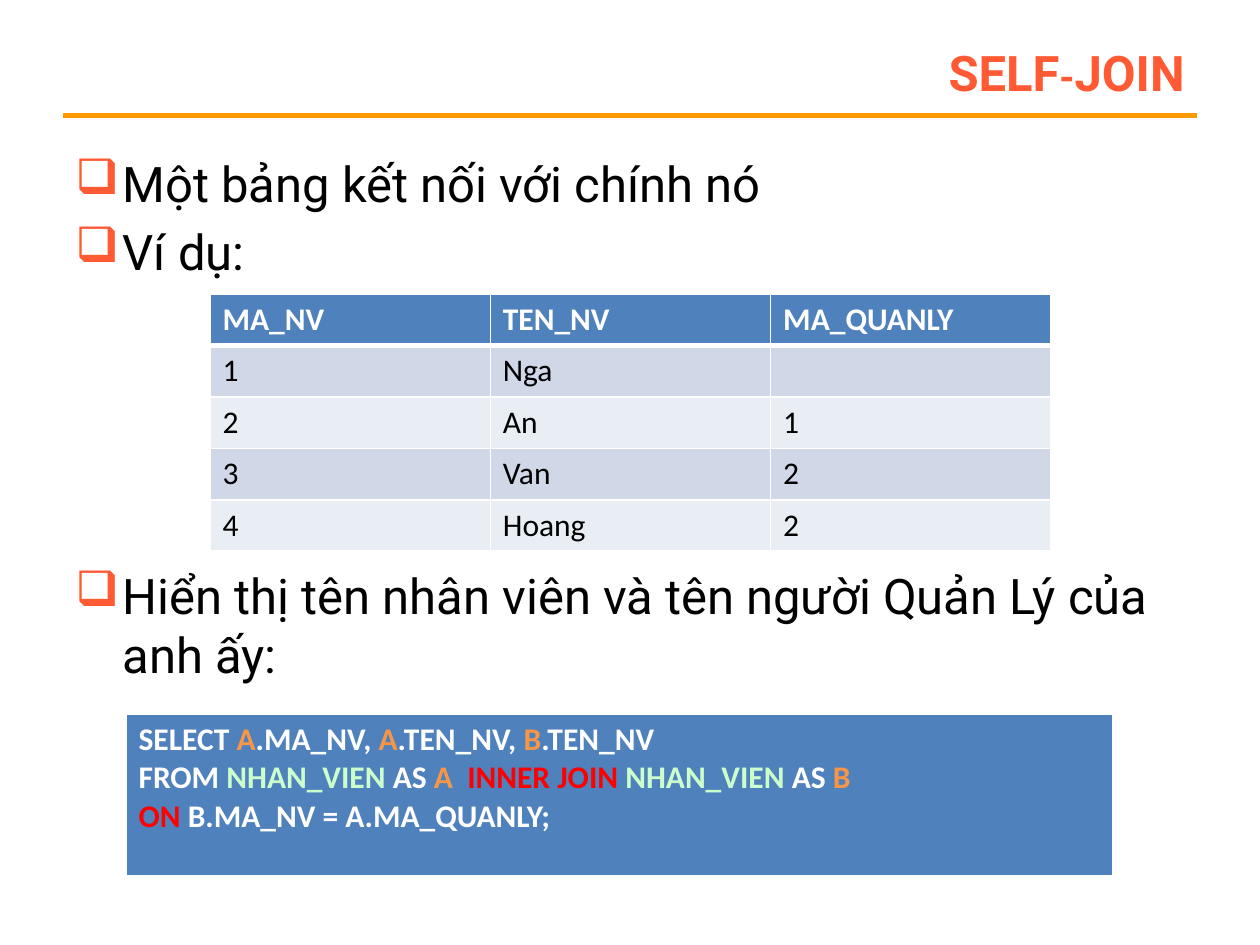
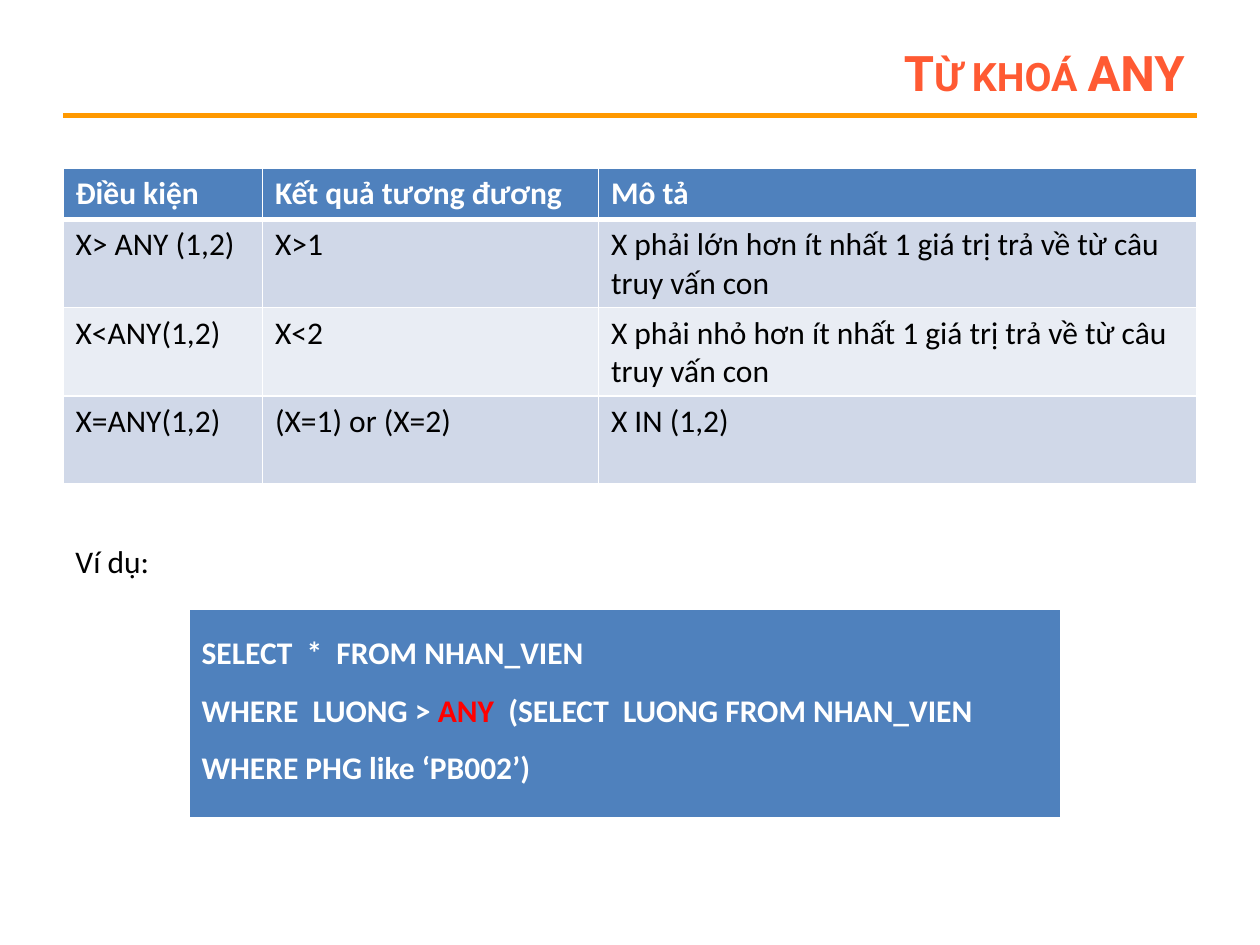
from lxml.etree import SubElement
from pptx import Presentation
from pptx.dml.color import RGBColor
from pptx.enum.shapes import MSO_CONNECTOR
from pptx.enum.text import MSO_ANCHOR, PP_ALIGN
from pptx.oxml.ns import qn
from pptx.util import Pt

PX = 7620
WHITE, BLACK, RED = "FFFFFF", "000000", "FF0000"
CORAL, AMBER, ORANGE, MINT = "FF5A33", "FF9900", "F79646", "CCFFCC"
HEADER_BLUE, BAND_DARK, BAND_LIGHT = "4F81BD", "D0D8E8", "E9EDF4"


def write(para, text, size=18, font="Calibri", color=BLACK, bold=False, small_caps=False):
    span = para.add_run()
    span.text = text
    span.font.size = Pt(size)
    span.font.name = font
    span.font.bold = bold
    span.font.color.rgb = RGBColor.from_string(color)
    if small_caps:
        span.font._element.set("cap", "small")


def draw_table(page, left, top, widths, heights, rows, line_spacing=1.0):
    frame = page.shapes.add_table(len(rows), len(widths), left * PX, top * PX,
                                  sum(widths) * PX, sum(heights) * PX)
    table = frame.table
    for column, width in zip(table.columns, widths):
        column.width = width * PX
    for row_index, row in enumerate(rows):
        table.rows[row_index].height = heights[row_index] * PX
        is_header = row_index == 0
        fill = HEADER_BLUE if is_header else (BAND_LIGHT, BAND_DARK)[row_index % 2]
        ink = WHITE if is_header else BLACK
        edges = {"a:lnL": 1, "a:lnR": 1, "a:lnT": 3 if row_index == 1 else 1,
                 "a:lnB": 3 if is_header else 1}
        for column_index, content in enumerate(row):
            cell = table.cell(row_index, column_index)
            properties = cell._tc.get_or_add_tcPr()
            for edge, width in edges.items():
                border = SubElement(properties, qn(edge), w=str(Pt(width)))
                solid = SubElement(border, qn("a:solidFill"))
                SubElement(solid, qn("a:srgbClr"), val=WHITE)
            cell.fill.solid()
            cell.fill.fore_color.rgb = RGBColor.from_string(fill)
            lines = [[(content, ink)]] if isinstance(content, str) else content
            for line_index, line in enumerate(lines):
                text_frame = cell.text_frame
                para = text_frame.add_paragraph() if line_index else text_frame.paragraphs[0]
                para.line_spacing = line_spacing
                for text, color in line:
                    if text:
                        write(para, text, color=color, bold=is_header)


deck = Presentation()
deck.slide_width = 1200 * PX
deck.slide_height = 900 * PX

for title in ("SELF-JOIN", "Từ khoá ANY"):
    page = deck.slides.add_slide(deck.slide_layouts[6])
    rule = page.shapes.add_connector(MSO_CONNECTOR.STRAIGHT, 60 * PX, 110 * PX, 1140 * PX, 110 * PX)
    rule.line.color.rgb = RGBColor.from_string(AMBER)
    rule.line.width = Pt(3)
    SubElement(rule._element.spPr, qn("a:effectLst"))
    box = page.shapes.add_textbox(270 * PX, 36 * PX, 870 * PX, 64 * PX)
    box.text_frame.word_wrap = True
    box.text_frame.vertical_anchor = MSO_ANCHOR.MIDDLE
    para = box.text_frame.paragraphs[0]
    para.alignment = PP_ALIGN.RIGHT
    write(para, title, size=28, font="Roboto", color=CORAL, bold=True, small_caps=True)

join_page, any_page = deck.slides

box = join_page.shapes.add_textbox(60 * PX, 140 * PX, 1080 * PX, 690 * PX)
box.text_frame.word_wrap = True
bullets = [
    ("Một bảng kết nối với chính nó", 5.6),
    ("Ví dụ:", 5.6),
    ("Hiển thị tên nhân viên và tên người Quản Lý của anh ấy:", 163),
]
for index, (text, gap) in enumerate(bullets):
    para = box.text_frame.add_paragraph() if index else box.text_frame.paragraphs[0]
    para.space_before = Pt(gap)
    properties = para._p.get_or_add_pPr()
    properties.set("marL", str(45 * PX))
    properties.set("indent", str(-45 * PX))
    bullet_color = SubElement(properties, qn("a:buClr"))
    SubElement(bullet_color, qn("a:srgbClr"), val=CORAL)
    SubElement(properties, qn("a:buChar"), char="❑")
    write(para, text, size=28, font="Roboto")

employees = [
    ["MA_NV", "TEN_NV", "MA_QUANLY"],
    ["1", "Nga", ""],
    ["2", "An", "1"],
    ["3", "Van", "2"],
    ["4", "Hoang", "2"],
]
draw_table(join_page, 200, 280, [267] * 3, [49] * 5, employees)

join_query = [
    [("SELECT ", WHITE), ("A", ORANGE), (".MA_NV, ", WHITE), ("A", ORANGE),
     (".TEN_NV, ", WHITE), ("B", ORANGE), (".TEN_NV", WHITE)],
    [("FROM ", WHITE), ("NHAN_VIEN", MINT), (" AS ", WHITE), ("A  ", ORANGE),
     ("INNER JOIN ", RED), ("NHAN_VIEN", MINT), (" AS ", WHITE), ("B", ORANGE)],
    [("ON", RED), (" B.MA_NV = A.MA_QUANLY;", WHITE)],
]
draw_table(join_page, 120, 680, [940], [156], [[join_query]])

conditions = [
    ["Điều kiện", "Kết quả tương đương", "Mô tả"],
    ["X> ANY (1,2)", "X>1", "X phải lớn hơn ít nhất 1 giá trị trả về từ câu truy vấn con"],
    ["X<ANY(1,2)", "X<2", "X phải nhỏ hơn ít nhất 1 giá trị trả về từ câu truy vấn con"],
    ["X=ANY(1,2)", "(X=1) or (X=2)", "X IN (1,2)"],
]
draw_table(any_page, 60, 160, [190, 320, 570], [49] + [84] * 3, conditions)

box = any_page.shapes.add_textbox(60 * PX, 510 * PX, 150 * PX, 48 * PX)
box.text_frame.word_wrap = True
write(box.text_frame.paragraphs[0], "Ví dụ:")

any_query = [
    [("SELECT  *  FROM NHAN_VIEN", WHITE)],
    [("WHERE  LUONG > ", WHITE), ("ANY", RED),
     ("  (SELECT  LUONG FROM NHAN_VIEN WHERE PHG like ‘PB002’)", WHITE)],
]
draw_table(any_page, 180, 580, [830], [200], [[any_query]], line_spacing=1.5)

deck.save("out.pptx")
